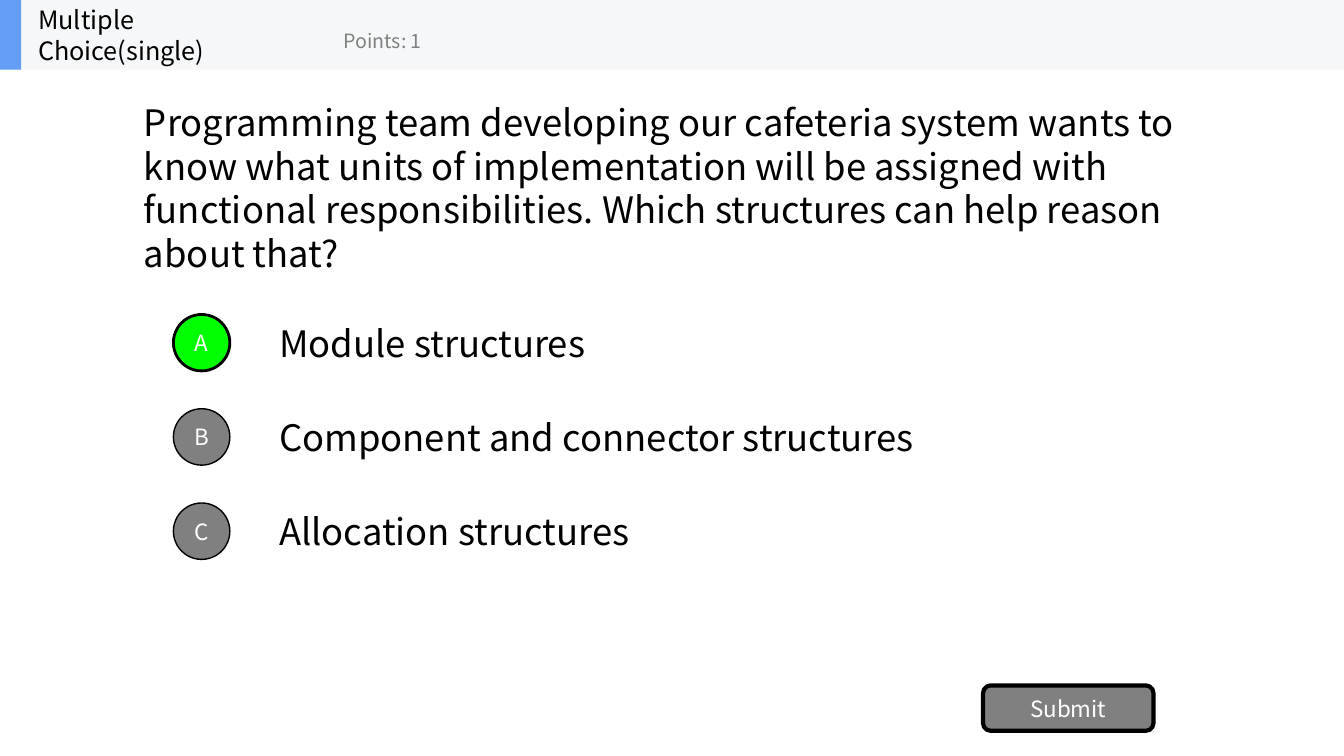
"""Build a single-choice quiz slide."""
from pptx import Presentation
from pptx.dml.color import RGBColor
from pptx.enum.shapes import MSO_SHAPE
from pptx.enum.text import MSO_ANCHOR, PP_ALIGN
from pptx.util import Inches, Pt

RECT, ROUNDED, OVAL = MSO_SHAPE.RECTANGLE, MSO_SHAPE.ROUNDED_RECTANGLE, MSO_SHAPE.OVAL
MIDDLE = MSO_ANCHOR.MIDDLE
LEFT, CENTER = PP_ALIGN.LEFT, PP_ALIGN.CENTER
FONT = "Noto Sans CJK SC"
BLACK, WHITE, GRAY, GREEN = "000000", "FFFFFF", "808080", "00FF00"
BAR, ACCENT = "F6F7F8", "639EF4"

QUESTION = (
    "Programming team developing our cafeteria system wants to know what units of "
    "implementation will be assigned with functional responsibilities. "
    "Which structures can help reason about that?"
)
CHOICES = [
    ("A", "Module structures", GREEN, 2),
    ("B", "Component and connector structures", GRAY, 1),
    ("C", "Allocation structures", GRAY, 1),
]
FIRST_TOP, CHOICE_STEP = 3.05, 0.935


def rgb(color):
    """Turn a hex string into a colour."""
    return RGBColor.from_string(color)


def write(sp, text, size, color, align=LEFT, wrap=True, spacing=None):
    """Fill a shape with one vertically centred paragraph."""
    tf = sp.text_frame
    tf.word_wrap = wrap
    tf.vertical_anchor = MIDDLE
    p = tf.paragraphs[0]
    p.alignment = align
    if spacing:
        p.line_spacing = Pt(spacing)
    r = p.add_run()
    r.text = text
    for name, value in {"name": FONT, "size": Pt(size)}.items():
        setattr(r.font, name, value)
    r.font.color.rgb = rgb(color)


def add_text(shapes, box, text, size, color=BLACK, **layout):
    """Add a text box."""
    sp = shapes.add_textbox(*map(Inches, box))
    write(sp, text, size, color, **layout)


def add_block(shapes, kind, box, fill, line_width=0):
    """Add a filled shape, outlined in black when a line width is given."""
    sp = shapes.add_shape(kind, *map(Inches, box))
    sp.shadow.inherit = False
    sp.fill.solid()
    sp.fill.fore_color.rgb = rgb(fill)
    if line_width:
        sp.line.color.rgb = rgb(BLACK)
        sp.line.width = Pt(line_width)
    else:
        sp.line.fill.background()
    return sp


def add_button(shapes, kind, box, label, fill, line_width):
    """Add an outlined shape with a centred white label."""
    sp = add_block(shapes, kind, box, fill, line_width)
    write(sp, label, 16, WHITE, align=CENTER)


def add_header(shapes):
    """Add the grouped title bar."""
    header = shapes.add_group_shape().shapes
    add_block(header, RECT, (0, 0, 13.33, 0.69), BAR)
    add_block(header, RECT, (0, 0, 0.21, 0.69), ACCENT)
    add_text(header, (0.28, 0, 2.08, 0.69), "Multiple Choice(single)", 18, wrap=False)
    add_text(header, (3.31, 0.12, 2.5, 0.56), "Points: 1", 14, GRAY, wrap=False)


def main():
    """Build and save the slide."""
    prs = Presentation()
    prs.slide_width, prs.slide_height = Inches(13.33), Inches(7.5)
    s = prs.slides.add_slide(prs.slide_layouts[6])
    add_text(s.shapes, (1.33, 0.69, 10.67, 2.34), QUESTION, 26, spacing=31)
    for i, (letter, answer, fill, line_width) in enumerate(CHOICES):
        top = FIRST_TOP + i * CHOICE_STEP
        add_text(s.shapes, (2.67, top, 9.33, 0.7), answer, 26)
        add_button(s.shapes, OVAL, (1.72, top + 0.07, 0.56, 0.56), letter, fill, line_width)
    add_button(s.shapes, ROUNDED, (9.75, 6.8, 1.69, 0.45), "Submit", GRAY, 3)
    add_header(s.shapes)
    prs.save("out.pptx")


if __name__ == "__main__":
    main()
